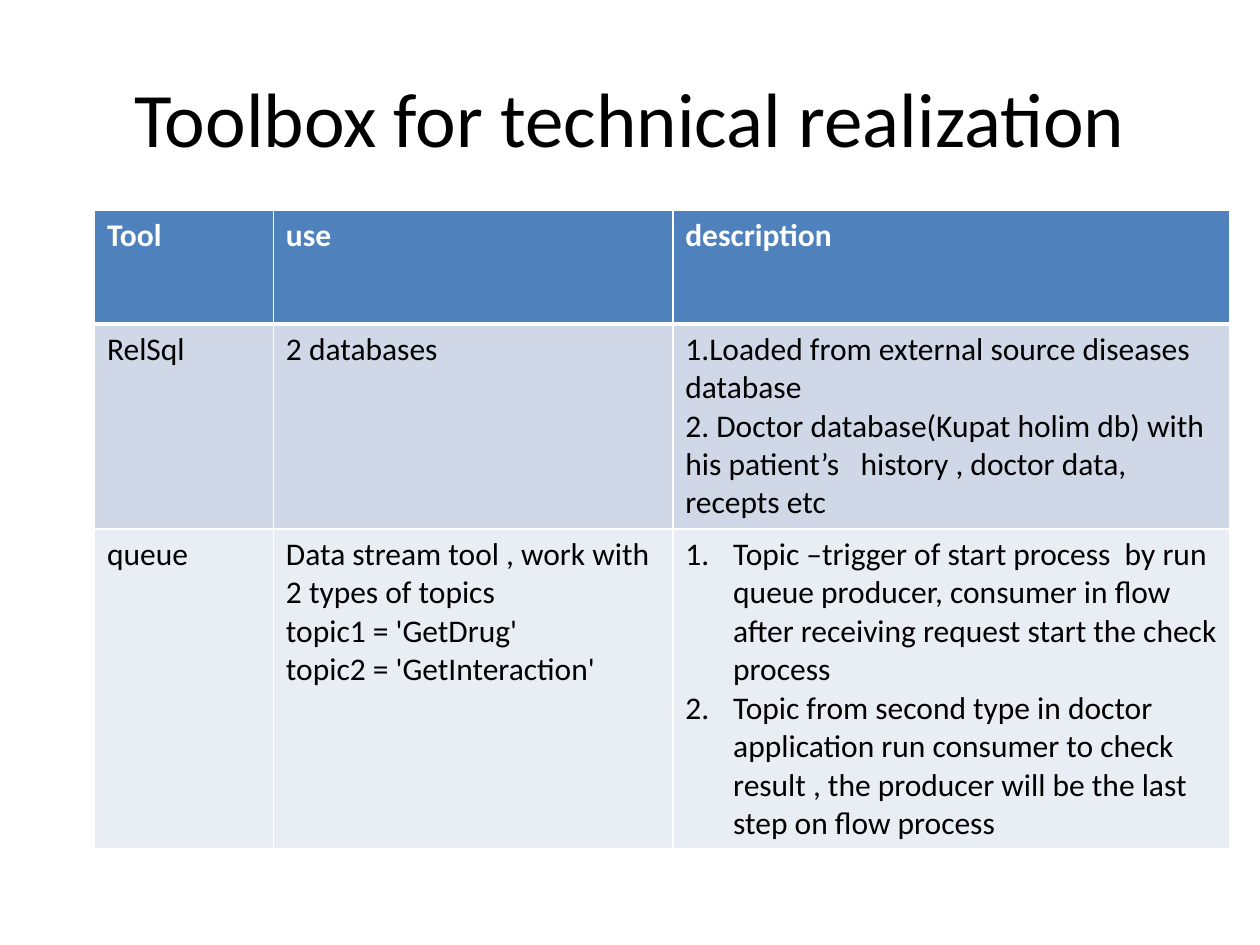
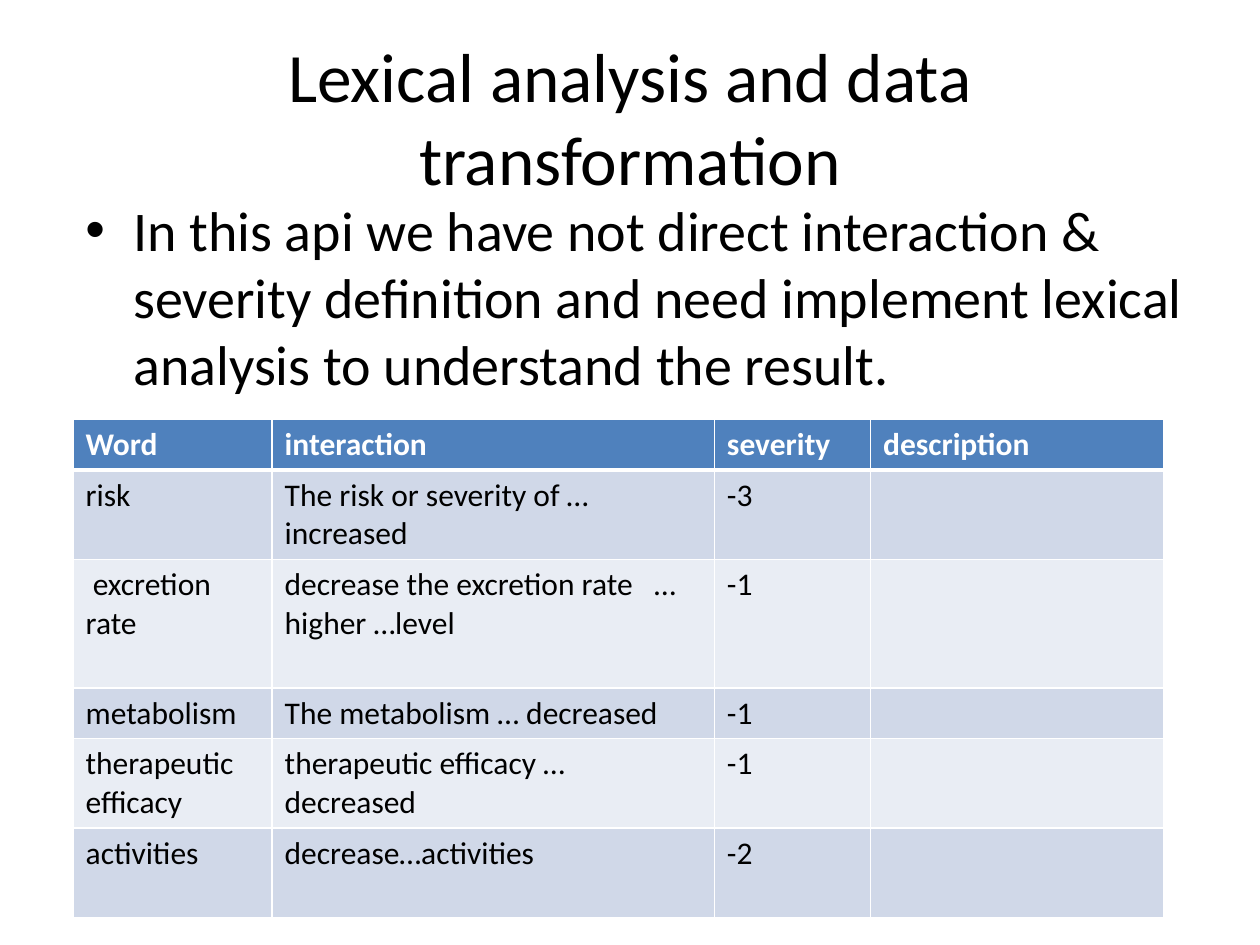
from dataclasses import dataclass
from typing import NamedTuple

from lxml.etree import SubElement
from pptx import Presentation
from pptx.dml.color import RGBColor
from pptx.enum.text import MSO_ANCHOR, PP_ALIGN
from pptx.oxml.ns import qn
from pptx.util import Inches, Pt


@dataclass(frozen=True)
class Theme:
    font: str = "Calibri"
    bullet_font: str = "Arial"
    ink: RGBColor = RGBColor(0x00, 0x00, 0x00)
    white: RGBColor = RGBColor(0xFF, 0xFF, 0xFF)
    header: RGBColor = RGBColor(0x4F, 0x81, 0xBD)
    bands: tuple = (RGBColor(0xD0, 0xD8, 0xE8), RGBColor(0xE9, 0xED, 0xF4))
    title: float = 44
    long_title: float = 39.6
    body: float = 32
    cell: float = 18
    rule: float = 1
    header_rule: float = 3
    indent: float = 0.38


THEME = Theme()


class Box(NamedTuple):
    left: float
    top: float
    width: float
    height: float


class Numbered(NamedTuple):
    items: tuple


@dataclass(frozen=True)
class Grid:
    left: float
    top: float
    columns: tuple
    heights: tuple
    rows: tuple


TITLE_BOX = Box(0.5, 0.3, 9, 1.25)
STATEMENT_BOX = Box(0.58, 1.5, 9, 4.95)

TOOLBOX = Grid(
    left=0.75,
    top=1.67,
    columns=(1.42, 3.17, 4.42),
    heights=(0.9, 1.63, 2.54),
    rows=(
        ("Tool", "use", "description"),
        (
            "RelSql",
            "2 databases",
            "1.Loaded from external source diseases database\n"
            "2. Doctor database(Kupat holim db) with his patient’s   history , "
            "doctor data, recepts etc",
        ),
        (
            "queue",
            "Data stream tool , work with 2 types of topics\n"
            "topic1 = 'GetDrug'\vtopic2 = 'GetInteraction'",
            Numbered((
                "Topic –trigger of start process  by run queue producer, consumer "
                "in flow after receiving request start the check process",
                "Topic from second type in doctor application run consumer to check "
                "result , the producer will be the last step on flow process",
            )),
        ),
    ),
)

LEXICON = Grid(
    left=0.58,
    top=3.33,
    columns=(1.58, 3.51, 1.24, 2.33),
    heights=(0.4, 0.71, 1.02, 0.4, 0.71, 0.71),
    rows=(
        ("Word", "interaction", "severity", "description"),
        ("risk", "The risk or severity of …increased", "-3", ""),
        (" excretion rate", "decrease the excretion rate   … higher …level", "-1", ""),
        ("metabolism", "The metabolism … decreased", "-1", ""),
        ("therapeutic efficacy", "therapeutic efficacy … decreased", "-1", ""),
        ("activities", "decrease…activities", "-2", ""),
    ),
)


def style_text(frame, size: float, color: RGBColor, bold: bool = False) -> None:
    for paragraph in frame.paragraphs:
        for run in paragraph.runs:
            run.font.name = THEME.font
            run.font.size = Pt(size)
            run.font.bold = bold
            run.font.color.rgb = color


def add_marker(paragraph, numbered: bool) -> None:
    properties = paragraph._p.get_or_add_pPr()
    properties.set("marL", str(Inches(THEME.indent)))
    properties.set("indent", str(-Inches(THEME.indent)))
    if numbered:
        SubElement(properties, qn("a:buFont"), typeface=THEME.font)
        SubElement(properties, qn("a:buAutoNum"), type="arabicPeriod")
    else:
        SubElement(properties, qn("a:buFont"), typeface=THEME.bullet_font)
        SubElement(properties, qn("a:buChar"), char="•")


def add_text(slide, box: Box, text: str, size: float):
    frame = slide.shapes.add_textbox(*map(Inches, box)).text_frame
    frame.word_wrap = True
    frame.text = text
    style_text(frame, size, THEME.ink)
    return frame


def add_title(slide, text: str, size: float) -> None:
    frame = add_text(slide, TITLE_BOX, text, size)
    frame.vertical_anchor = MSO_ANCHOR.MIDDLE
    frame.paragraphs[0].alignment = PP_ALIGN.CENTER


def add_statement(slide, text: str) -> None:
    statement = add_text(slide, STATEMENT_BOX, text, THEME.body).paragraphs[0]
    statement.space_before = Pt(0.2 * THEME.body)
    add_marker(statement, numbered=False)


def draw_borders(cell, row: int) -> None:
    properties = cell._tc.get_or_add_tcPr()
    heavy_side = {0: "lnB", 1: "lnT"}.get(row)
    for side in ("lnL", "lnR", "lnT", "lnB"):
        weight = THEME.header_rule if side == heavy_side else THEME.rule
        line = SubElement(properties, qn(f"a:{side}"), w=str(Pt(weight)))
        fill = SubElement(line, qn("a:solidFill"))
        SubElement(fill, qn("a:srgbClr"), val=str(THEME.white))


def fill_cell(cell, content: str | Numbered, row: int) -> None:
    is_header = row == 0
    draw_borders(cell, row)
    cell.fill.solid()
    cell.fill.fore_color.rgb = THEME.header if is_header else THEME.bands[(row - 1) % 2]
    frame = cell.text_frame
    if isinstance(content, Numbered):
        frame.text = "\n".join(content.items)
        for paragraph in frame.paragraphs:
            add_marker(paragraph, numbered=True)
    else:
        frame.text = content
    style_text(frame, THEME.cell, THEME.white if is_header else THEME.ink, is_header)


def add_grid(slide, grid: Grid) -> None:
    box = Box(grid.left, grid.top, sum(grid.columns), sum(grid.heights))
    table = slide.shapes.add_table(
        len(grid.rows), len(grid.columns), *map(Inches, box)
    ).table
    for column, width in zip(table.columns, grid.columns):
        column.width = Inches(width)
    for row, height in zip(table.rows, grid.heights):
        row.height = Inches(height)
    for row, contents in enumerate(grid.rows):
        for column, content in enumerate(contents):
            fill_cell(table.cell(row, column), content, row)


def main() -> None:
    deck = Presentation()
    deck.slide_width = Inches(10)
    deck.slide_height = Inches(7.5)
    blank = deck.slide_layouts[6]

    toolbox = deck.slides.add_slide(blank)
    add_title(toolbox, "Toolbox for technical realization", THEME.title)
    add_grid(toolbox, TOOLBOX)

    lexical = deck.slides.add_slide(blank)
    add_title(lexical, "Lexical analysis and data transformation", THEME.long_title)
    add_statement(
        lexical,
        "In this api we have not direct interaction & severity definition and need "
        "implement lexical analysis to understand the result.",
    )
    add_grid(lexical, LEXICON)

    deck.save("out.pptx")


if __name__ == "__main__":
    main()
